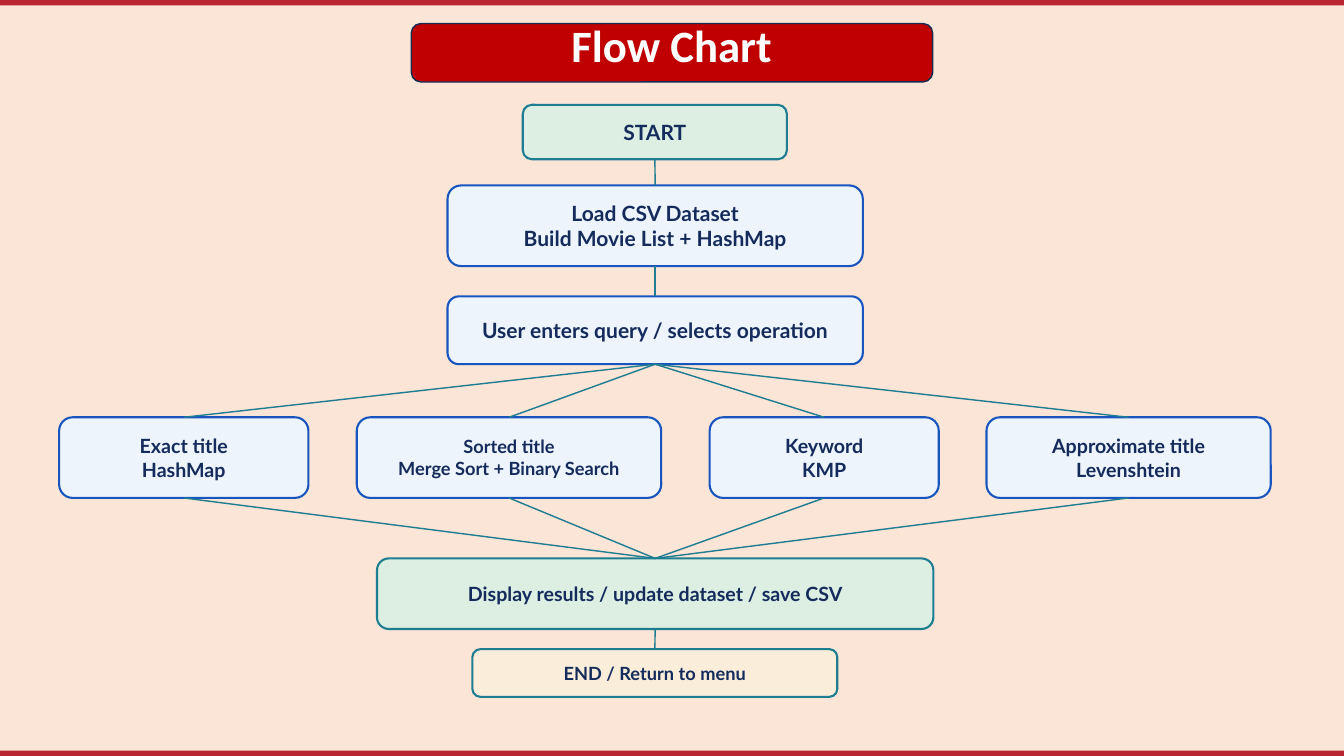
"""Build a flow chart slide for a movie search program."""
from dataclasses import dataclass

from lxml import etree
from pptx import Presentation
from pptx.dml.color import RGBColor
from pptx.enum.shapes import MSO_CONNECTOR, MSO_SHAPE
from pptx.enum.text import MSO_ANCHOR, PP_ALIGN
from pptx.oxml.ns import qn
from pptx.util import Inches, Pt

RECTANGLE = MSO_SHAPE.RECTANGLE
ROUNDED = MSO_SHAPE.ROUNDED_RECTANGLE
STRAIGHT = MSO_CONNECTOR.STRAIGHT
TOP, MIDDLE = MSO_ANCHOR.TOP, MSO_ANCHOR.MIDDLE
CENTER = PP_ALIGN.CENTER
TOP_SIDE, BOTTOM_SIDE = 0, 2


@dataclass(frozen=True)
class Theme:
    background: str = "FBE5D6"
    bar: str = "BA2532"
    banner: str = "C00000"
    banner_line: str = "172C51"
    title: str = "FFFFFF"
    text: str = "142B5C"
    green: str = "DCEFE2"
    blue: str = "EEF4FC"
    cream: str = "FAEDDA"
    teal_line: str = "1E7D91"
    blue_line: str = "1955BE"
    title_font: str = "Calibri"
    body_font: str = "Lato"
    title_size: float = 48
    large: float = 22.5
    medium: float = 21
    small: float = 19.5


theme = Theme()


def add_box(kind, left, top, width, height, fill, line=None, line_width=2.25):
    shape = slide.shapes.add_shape(kind, Inches(left), Inches(top), Inches(width), Inches(height))
    shape.shadow.inherit = False
    shape.fill.solid()
    shape.fill.fore_color.rgb = RGBColor.from_string(fill)
    if line:
        shape.line.color.rgb = RGBColor.from_string(line)
        shape.line.width = Pt(line_width)
    else:
        shape.line.fill.background()
    return shape


def write_text(shape, lines, font, size, color, anchor, inset):
    frame = shape.text_frame
    frame.word_wrap = True
    frame.vertical_anchor = anchor
    frame.margin_left = frame.margin_right = Inches(inset)
    frame.margin_top = frame.margin_bottom = Inches(inset)
    for index, line in enumerate(lines):
        paragraph = frame.add_paragraph() if index else frame.paragraphs[0]
        paragraph.alignment = CENTER
        paragraph.line_spacing = Pt(size * 1.2)
        run = paragraph.add_run()
        run.text = line
        run.font.name = font
        run.font.size = Pt(size)
        run.font.bold = True
        run.font.color.rgb = RGBColor.from_string(color)


presentation = Presentation()
presentation.slide_width = Inches(20)
presentation.slide_height = Inches(11.25)
slide = presentation.slides.add_slide(presentation.slide_layouts[6])
slide.background.fill.solid()
slide.background.fill.fore_color.rgb = RGBColor.from_string(theme.background)

for bar_top in (11.17, 0):
    add_box(RECTANGLE, 0, bar_top, 20, 0.08, theme.bar)

add_box(ROUNDED, 6.12, 0.35, 7.76, 0.87, theme.banner, theme.banner_line, 1.5)
title = slide.shapes.add_textbox(Inches(4.46), Inches(0.27), Inches(11.07), Inches(0.95))
write_text(title, ["Flow Chart"], theme.title_font, theme.title_size, theme.title, TOP, 0)

green = (theme.green, theme.teal_line)
blue = (theme.blue, theme.blue_line)
cream = (theme.cream, theme.teal_line)
steps = {
    "start": (7.78, 1.56, 3.93, 0.81, green, theme.large, ["START"]),
    "load": (6.66, 2.76, 6.18, 1.2, blue, theme.large,
             ["Load CSV Dataset", "Build Movie List + HashMap"]),
    "query": (6.66, 4.41, 6.18, 1.01, blue, theme.large,
              ["User enters query / selects operation"]),
    "exact": (0.88, 6.21, 3.71, 1.2, blue, theme.medium, ["Exact title", "HashMap"]),
    "sorted": (5.31, 6.21, 4.53, 1.2, blue, theme.small,
               ["Sorted title", "Merge Sort + Binary Search"]),
    "keyword": (10.56, 6.21, 3.41, 1.2, blue, theme.medium, ["Keyword", "KMP"]),
    "approximate": (14.68, 6.21, 4.23, 1.2, blue, theme.medium,
                    ["Approximate title", "Levenshtein"]),
    "results": (5.61, 8.31, 8.28, 1.05, green, theme.medium,
                ["Display results / update dataset / save CSV"]),
    "end": (7.03, 9.66, 5.43, 0.71, cream, theme.small, ["END / Return to menu"]),
}
boxes = {}
for name, (left, top, width, height, colors, size, lines) in steps.items():
    boxes[name] = add_box(ROUNDED, left, top, width, height, *colors)
    write_text(boxes[name], lines, theme.body_font, size, theme.text, MIDDLE, 0.06)

searches = ("exact", "sorted", "keyword", "approximate")
links = [("start", "load"), ("load", "query")]
links += [("query", search) for search in searches]
links += [(search, "results") for search in searches]
links += [("results", "end")]
for source, target in links:
    connector = slide.shapes.add_connector(STRAIGHT, 0, 0, 0, 0)
    connector.begin_connect(boxes[source], BOTTOM_SIDE)
    connector.end_connect(boxes[target], TOP_SIDE)
    connector.line.color.rgb = RGBColor.from_string(theme.teal_line)
    connector.line.width = Pt(1.5)
    etree.SubElement(connector._element.spPr, qn("a:effectLst"))

presentation.save("out.pptx")
